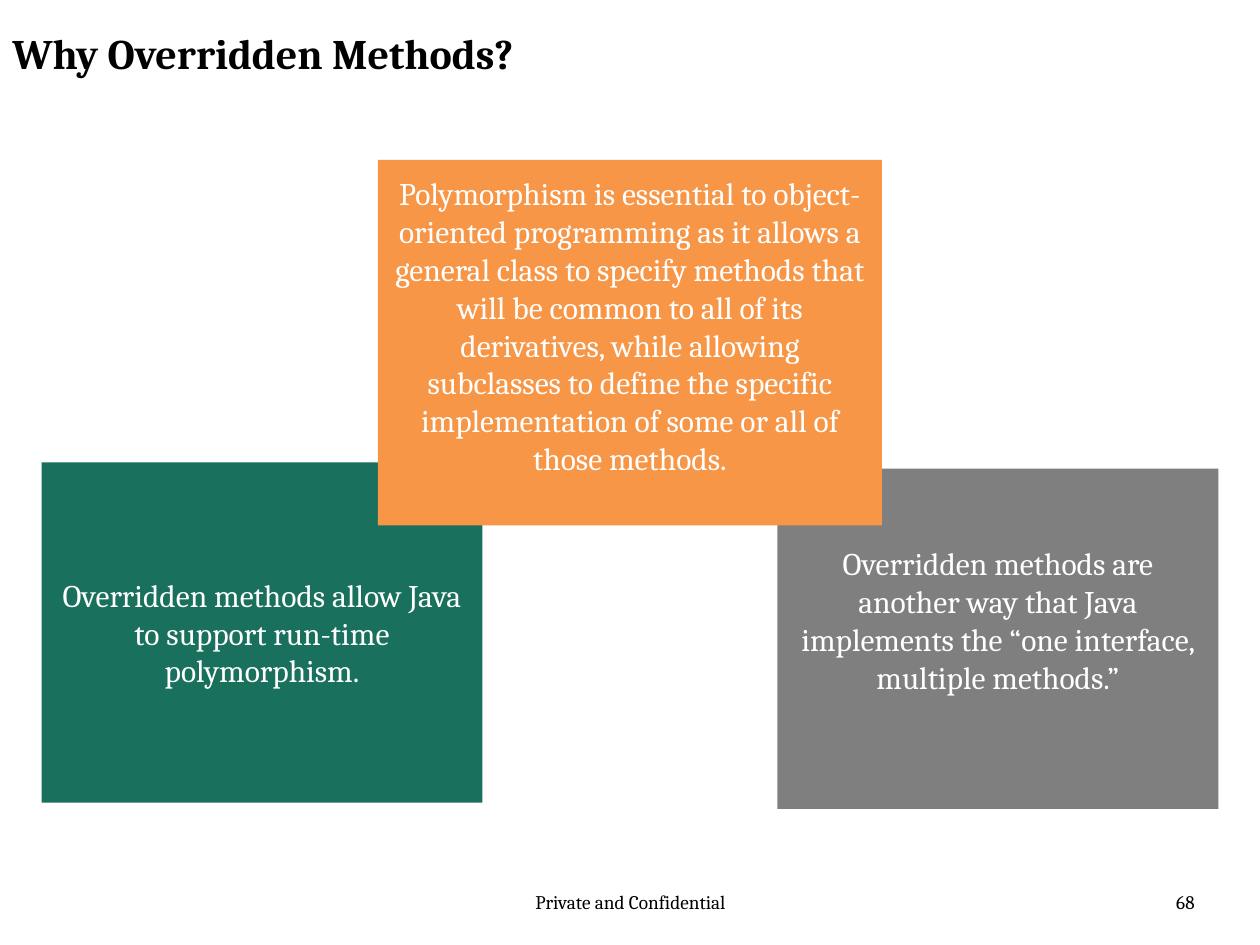
from pptx import Presentation
from pptx.dml.color import RGBColor
from pptx.enum.shapes import MSO_SHAPE
from pptx.enum.text import MSO_ANCHOR, PP_ALIGN
from pptx.util import Inches, Pt

RECTANGLE = MSO_SHAPE.RECTANGLE
TOP, MIDDLE = MSO_ANCHOR.TOP, MSO_ANCHOR.MIDDLE
LEFT, CENTER, RIGHT = PP_ALIGN.LEFT, PP_ALIGN.CENTER, PP_ALIGN.RIGHT

FONT = "Cambria"
LABELS = [
    ("Why Overridden Methods?", (0, 0.17, 7.1, 1.04), dict(size=24, bold=True)),
    ("Private and Confidential", (3.42, 7.02, 3.17, 0.4), dict(size=11, align=CENTER)),
    ("68", (7.25, 7.02, 2.33, 0.4), dict(size=11, align=RIGHT)),
]
REASONS = [
    ("Overridden methods are another way that Java implements the "
     "“one interface, multiple methods.”",
     (6.17, 3.72, 3.5, 2.7), "7F7F7F", 0.35),
    ("Overridden methods allow Java to support run-time polymorphism.",
     (0.33, 3.67, 3.5, 2.7), "19705D", 0.05),
    ("Polymorphism is essential to object-oriented programming as it allows "
     "a general class to specify methods that will be common to all of its "
     "derivatives, while allowing subclasses to define the specific "
     "implementation of some or all of those methods.",
     (3, 1.27, 4, 2.9), "F79646", 0.32),
]


def color(value):
    return RGBColor.from_string(value)


def write(holder, text, size=18, ink="000000", bold=False, align=LEFT,
          anchor=TOP, bottom=0.05):
    frame = holder.text_frame
    frame.word_wrap = True
    frame.vertical_anchor = anchor
    frame.margin_left = frame.margin_right = Inches(0.1)
    frame.margin_top, frame.margin_bottom = Inches(0.05), Inches(bottom)
    paragraph = frame.paragraphs[0]
    paragraph.alignment = align
    run = paragraph.add_run()
    run.text = text
    run.font.name, run.font.size, run.font.bold = FONT, Pt(size), bold
    run.font.color.rgb = color(ink)


def main():
    deck = Presentation()
    deck.slide_width, deck.slide_height = Inches(10), Inches(7.5)
    slide = deck.slides.add_slide(deck.slide_layouts[6])

    for text, place, style in LABELS:
        label = slide.shapes.add_textbox(*map(Inches, place))
        write(label, text, **style)

    for text, place, fill, bottom in REASONS:
        card = slide.shapes.add_shape(RECTANGLE, *map(Inches, place))
        card.shadow.inherit = False
        card.fill.solid()
        card.fill.fore_color.rgb = color(fill)
        card.line.fill.background()
        write(card, text, ink="FFFFFF", align=CENTER, anchor=MIDDLE, bottom=bottom)

    deck.save("out.pptx")


if __name__ == "__main__":
    main()
